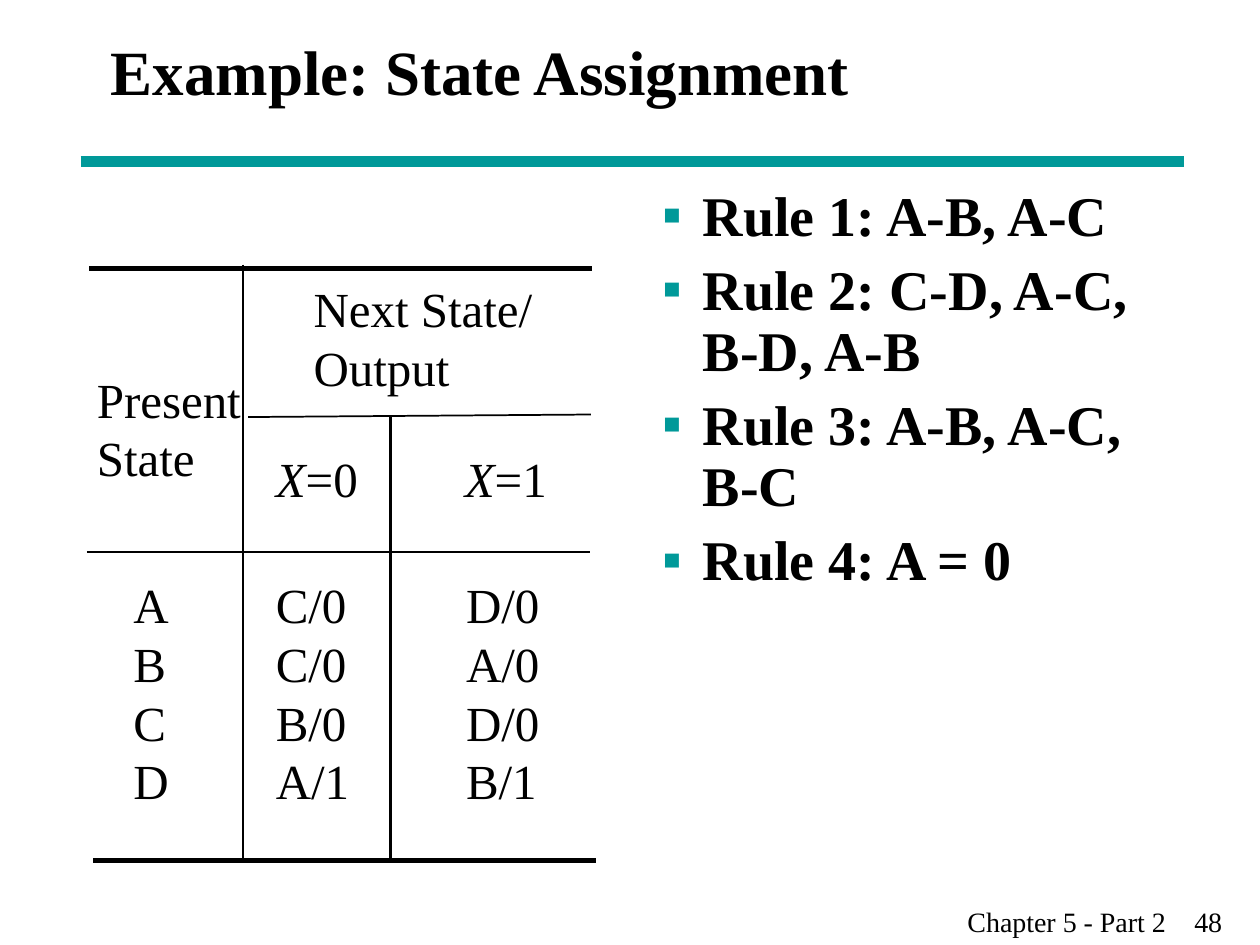
"""Build the state assignment slide: a ruled state table beside four rules."""
from lxml import etree
from pptx import Presentation
from pptx.dml.color import RGBColor
from pptx.enum.shapes import MSO_CONNECTOR
from pptx.enum.text import MSO_ANCHOR
from pptx.oxml.ns import qn
from pptx.util import Inches, Pt

STRAIGHT = MSO_CONNECTOR.STRAIGHT
MIDDLE = MSO_ANCHOR.MIDDLE
FONT = "Times New Roman"
BLACK, TEAL = "000000", "009999"

deck = Presentation()
deck.slide_width, deck.slide_height = Inches(10), Inches(7.5)
COLUMN, ROW = deck.slide_width / 100, deck.slide_height / 75
page = deck.slides.add_slide(deck.slide_layouts[6])


def draw_line(start, end, weight, color=BLACK):
    line = page.shapes.add_connector(
        STRAIGHT, round(start[0] * COLUMN), round(start[1] * ROW),
        round(end[0] * COLUMN), round(end[1] * ROW))
    line.line.width = Pt(weight)
    line.line.color.rgb = RGBColor.from_string(color)
    etree.SubElement(line._element.spPr, qn("a:effectLst"))


def write_text(left, top, width, height, lines, size=28, bold=False, wrap=True, bullet=None, tab=None):
    box = page.shapes.add_textbox(
        round(left * COLUMN), round(top * ROW), round(width * COLUMN), round(height * ROW))
    frame = box.text_frame
    frame.word_wrap = wrap
    for index, line in enumerate(lines):
        para = frame.paragraphs[0] if index == 0 else frame.add_paragraph()
        para.add_run().text = line
        props = para._p.get_or_add_pPr()
        if bullet:
            para.line_spacing = 0.9
            if index:
                para.space_before = Pt(8)
            props.set("marL", str(Inches(0.32)))
            props.set("indent", str(-Inches(0.32)))
            color = etree.SubElement(props, qn("a:buClr"))
            etree.SubElement(color, qn("a:srgbClr"), val=TEAL)
            etree.SubElement(props, qn("a:buFont"), typeface=FONT)
            etree.SubElement(props, qn("a:buChar"), char=bullet)
        if tab:
            tabs = etree.SubElement(props, qn("a:tabLst"))
            etree.SubElement(tabs, qn("a:tab"), pos=str(round(tab * COLUMN)), algn="l")
        para.font.name, para.font.size, para.font.bold = FONT, Pt(size), bold
        para.font.color.rgb = RGBColor.from_string(BLACK)
    return frame


draw_line((6.4, 12.8), (94, 12.8), 6, TEAL)
write_text(75.8, 71.3, 24.2, 3.7, ["Chapter 5 - Part 2\t48"], size=16, tab=18)
title = write_text(7.8, 0, 87.8, 11.2, ["Example: State Assignment"], size=36, bold=True)
title.vertical_anchor = MIDDLE
rules = ["Rule 1: A-B, A-C", "Rule 2: C-D, A-C, B-D, A-B", "Rule 3: A-B, A-C, B-C", "Rule 4: A = 0"]
write_text(51.6, 14.4, 41.3, 55, rules, size=32, bold=True, bullet="▪")

table_lines = [
    ((7.1, 21.3), (47, 21.3), 3),
    ((7.4, 68.3), (47.3, 68.3), 3),
    ((19.3, 21), (19.3, 68.3), 1.5),
    ((31, 33.1), (31, 68.3), 1.5),
    ((19.7, 33.1), (46.9, 32.9), 1),
    ((6.9, 43.8), (46.8, 43.8), 1),
]
for start, end, weight in table_lines:
    draw_line(start, end, weight)

write_text(6.7, 28.8, 14.2, 10.4, ["Present State"])
write_text(23.9, 21.6, 20.9, 10.4, ["Next State/ Output"])
for left, value in ((20.9, "=0"), (35.9, "=1")):
    para = write_text(left, 35.1, 8.5, 5.7, ["X"], wrap=False).paragraphs[0]
    para.runs[0].font.italic = True
    para.add_run().text = value

table_columns = [
    (9.6, 4.8, ["A", "B", "C", "D"]),
    (20.9, 7.8, ["C/0", "C/0", "B/0", "A/1"]),
    (36, 7.8, ["D/0", "A/0", "D/0", "B/1"]),
]
for left, width, entries in table_columns:
    write_text(left, 45.1, width, 19.7, entries, wrap=False)

deck.save("out.pptx")
